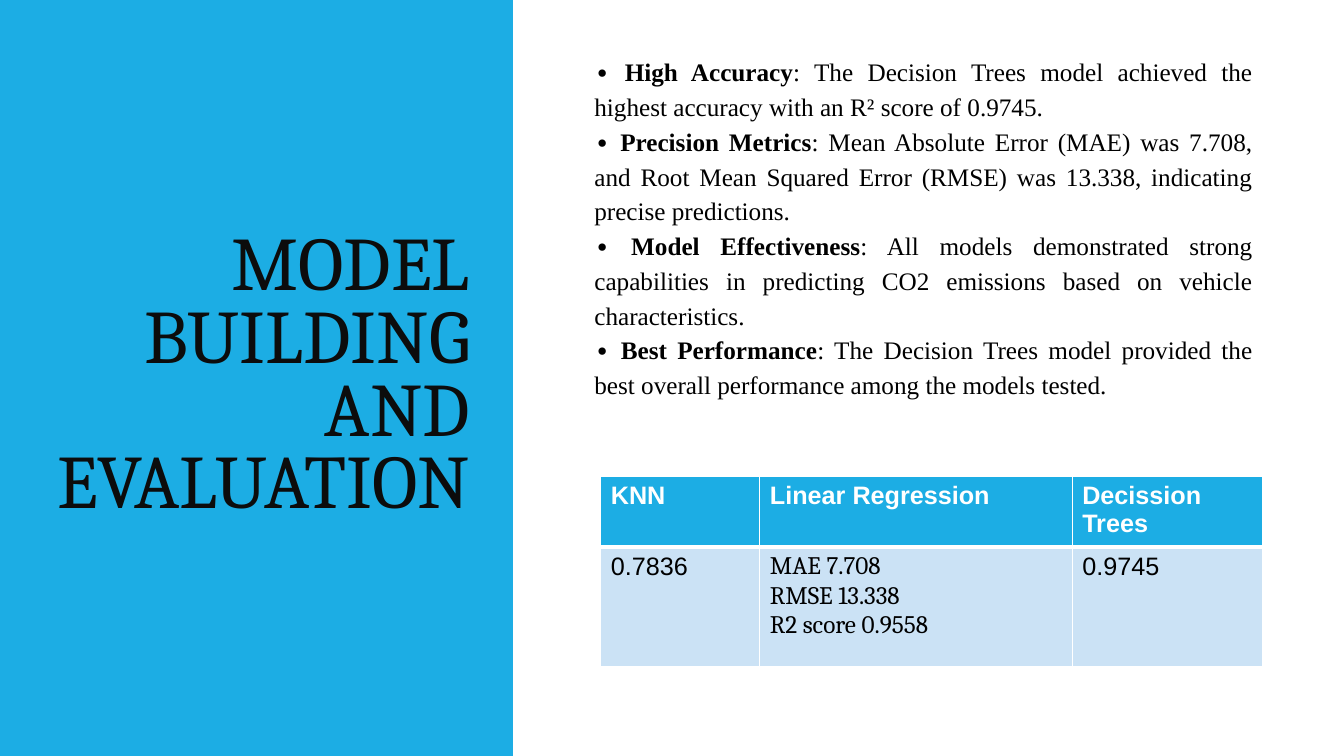
import pptx
import pptx.dml.color
import pptx.enum.shapes
import pptx.enum.text
import pptx.oxml
import pptx.oxml.ns
import pptx.util
from dataclasses import dataclass

Cm = pptx.util.Cm
Pt = pptx.util.Pt
RGB = pptx.dml.color.RGBColor
ALIGN = pptx.enum.text.PP_ALIGN
ANCHOR = pptx.enum.text.MSO_ANCHOR


@dataclass(frozen=True)
class Theme:
    accent: RGB = RGB(0x1C, 0xAD, 0xE4)
    pale: RGB = RGB(0xCB, 0xE2, 0xF5)
    white: RGB = RGB(0xFF, 0xFF, 0xFF)
    black: RGB = RGB(0, 0, 0)
    ink: RGB = RGB(0x0C, 0x0C, 0x0C)
    title_size: Pt = Pt(54)
    body_size: Pt = Pt(18)
    serif: str = "Cambria"
    sans: str = "Arial"
    body: str = "Times New Roman"
    symbol: str = "Noto Sans"


THEME = Theme()

TITLE = "MODEL BUILDING AND EVALUATION"
FINDINGS = [
    ("High Accuracy", "The Decision Trees model achieved the highest accuracy "
     "with an R² score of 0.9745."),
    ("Precision Metrics", "Mean Absolute Error (MAE) was 7.708, and Root Mean "
     "Squared Error (RMSE) was 13.338, indicating precise predictions."),
    ("Model Effectiveness", "All models demonstrated strong capabilities in "
     "predicting CO2 emissions based on vehicle characteristics."),
    ("Best Performance", "The Decision Trees model provided the best overall "
     "performance among the models tested."),
]
SCORES = [
    ["KNN", "Linear Regression", "Decission Trees"],
    ["0.7836", "MAE 7.708\nRMSE 13.338\nR2 score 0.9558", "0.9745"],
]
COLUMN_WIDTHS = [4.01, 7.87, 4.8]
ROW_HEIGHTS = [1.19, 3]


def add_run(p, text, color, **formats):
    r = p.add_run()
    r.text = text
    r.font.color.rgb = color
    for name, value in formats.items():
        setattr(r.font, name, value)


def add_text_frame(slide, left, top, width, height):
    box = slide.shapes.add_textbox(Cm(left), Cm(top), Cm(width), Cm(height))
    tf = box.text_frame
    tf.word_wrap = True
    return tf


def add_title_panel(slide, left, top, width, height):
    sp = slide.shapes.add_shape(pptx.enum.shapes.MSO_SHAPE.RECTANGLE,
                                Cm(left), Cm(top), Cm(width), Cm(height))
    sp.shadow.inherit = False
    sp.fill.solid()
    sp.fill.fore_color.rgb = THEME.accent
    sp.line.fill.background()

    title_height = 14.58
    tf = add_text_frame(slide, left + 1.09, top + (height - title_height) / 2,
                        width - 1.93, title_height)
    tf.vertical_anchor = ANCHOR.MIDDLE
    p = tf.paragraphs[0]
    p.alignment = ALIGN.RIGHT
    p.line_spacing = 0.8
    add_run(p, TITLE, THEME.ink, name=THEME.serif, size=THEME.title_size)


def add_findings(slide, left, top, width, height):
    """Justified points whose wrapped lines start under the bullet."""
    tf = add_text_frame(slide, left, top, width, height)
    for i, (label, detail) in enumerate(FINDINGS):
        p = tf.add_paragraph() if i else tf.paragraphs[0]
        p.alignment = ALIGN.JUSTIFY
        p.line_spacing = 1.15
        pPr = p._p.get_or_add_pPr()
        pPr.set("marL", str(Cm(1.27)))
        pPr.set("indent", "0")
        for text, font, bold in (("∙ ", THEME.symbol, False),
                                 (label, THEME.body, True),
                                 (": " + detail, THEME.body, False)):
            add_run(p, text, THEME.black, name=font, size=THEME.body_size, bold=bold)


def set_borders(cell, widths):
    tcPr = cell._tc.get_or_add_tcPr()
    for side, width in widths.items():
        tcPr.append(pptx.oxml.parse_xml(
            f'<a:ln{side} {pptx.oxml.ns.nsdecls("a")} w="{Pt(width)}"><a:solidFill>'
            f'<a:srgbClr val="{THEME.white}"/></a:solidFill></a:ln{side}>'))


def add_score_table(slide, left, top):
    table = slide.shapes.add_table(
        len(SCORES), len(COLUMN_WIDTHS), Cm(left), Cm(top),
        Cm(sum(COLUMN_WIDTHS)), Cm(sum(ROW_HEIGHTS))).table
    table.horz_banding = False
    for column, width in zip(table.columns, COLUMN_WIDTHS):
        column.width = Cm(width)
    for i, (row, height) in enumerate(zip(table.rows, ROW_HEIGHTS)):
        row.height = Cm(height)
        header = i == 0
        for cell, text in zip(row.cells, SCORES[i]):
            set_borders(cell, {"L": 1, "R": 1, "T": 1 if header else 3,
                               "B": 3 if header else 1})
            cell.fill.solid()
            cell.fill.fore_color.rgb = THEME.accent if header else THEME.pale
            lines = text.split("\n")
            for j, line in enumerate(lines):
                tf = cell.text_frame
                p = tf.add_paragraph() if j else tf.paragraphs[0]
                add_run(p, line, THEME.white if header else THEME.black,
                        name=THEME.serif if len(lines) > 1 else THEME.sans,
                        size=THEME.body_size, bold=header)


def main():
    prs = pptx.Presentation()
    prs.slide_width, prs.slide_height = Cm(33.87), Cm(19.05)
    slide = prs.slides.add_slide(prs.slide_layouts[6])
    add_title_panel(slide, 0, 0, 12.93, 19.05)
    add_score_table(slide, 15.14, 12.01)
    add_findings(slide, 13.46, 1.19, 18.36, 8.99)
    prs.save("out.pptx")


if __name__ == "__main__":
    main()
